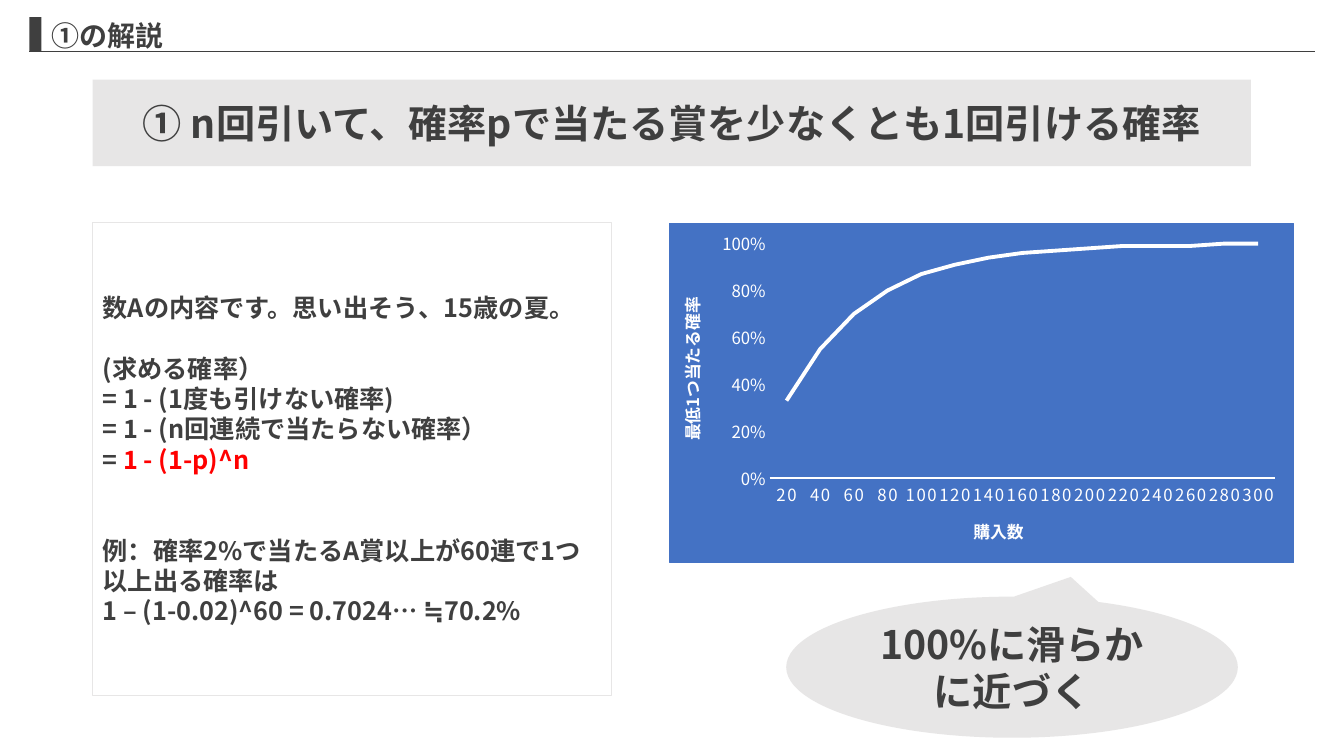
"""Build the slide that explains the chance of drawing a prize at least once."""
from dataclasses import dataclass

from lxml.etree import SubElement
from pptx import Presentation
from pptx.chart.data import CategoryChartData
from pptx.dml.color import RGBColor
from pptx.enum.chart import XL_CHART_TYPE, XL_TICK_MARK
from pptx.enum.shapes import MSO_CONNECTOR, MSO_SHAPE
from pptx.enum.text import MSO_ANCHOR, MSO_AUTO_SIZE, PP_ALIGN
from pptx.oxml import parse_xml
from pptx.oxml.ns import nsdecls, qn
from pptx.util import Pt


@dataclass(frozen=True)
class Theme:
    font: str = "Noto Sans CJK JP"
    ink: RGBColor = RGBColor(0x3F, 0x3F, 0x3F)
    pale: RGBColor = RGBColor(0xE7, 0xE6, 0xE6)
    accent: RGBColor = RGBColor(0xFF, 0x00, 0x00)
    panel: RGBColor = RGBColor(0x44, 0x72, 0xC4)
    white: RGBColor = RGBColor(0xFF, 0xFF, 0xFF)
    title_size: int = 20
    banner_size: int = 28
    body_size: int = 18
    axis_size: int = 12


class SlideBuilder:
    def __init__(self, slide, theme):
        self.slide = slide
        self.theme = theme

    def style_font(self, font, size, color, bold=True):
        font.size, font.bold, font.name = Pt(size), bold, self.theme.font
        font.color.rgb = color
        SubElement(font._element, qn("a:ea"), typeface=self.theme.font)

    def add_run(self, paragraph, text, size, color=None):
        run = paragraph.add_run()
        run.text = text
        self.style_font(run.font, size, color or self.theme.ink)

    def place(self, shape, box):
        shape.left, shape.top, shape.width, shape.height = map(Pt, box)
        frame = shape.text_frame
        frame.word_wrap = True
        frame.auto_size = MSO_AUTO_SIZE.NONE
        frame.vertical_anchor = MSO_ANCHOR.MIDDLE
        return frame

    def title(self, box, text):
        paragraph = self.place(self.slide.shapes.title, box).paragraphs[0]
        paragraph.alignment = PP_ALIGN.LEFT
        self.add_run(paragraph, text, self.theme.title_size)

    def body(self, box, lines):
        shape = self.slide.placeholders[1]
        shape.line.color.rgb = self.theme.pale
        shape.line.width = Pt(1)
        frame = self.place(shape, box)
        for index, (space, runs) in enumerate(lines):
            paragraph = frame.add_paragraph() if index else frame.paragraphs[0]
            paragraph.alignment = PP_ALIGN.LEFT
            paragraph.space_before = Pt(space)
            properties = paragraph._p.get_or_add_pPr()
            properties.set("marL", "0")
            properties.set("indent", "0")
            SubElement(properties, qn("a:buNone"))
            for text, color in runs:
                self.add_run(paragraph, text, self.theme.body_size, color)

    def shape(self, kind, box, fill, text="", adjustments=()):
        shape = self.slide.shapes.add_shape(kind, *map(Pt, box))
        shape.shadow.inherit = False
        shape.fill.solid()
        shape.fill.fore_color.rgb = fill
        shape.line.fill.background()
        for index, value in enumerate(adjustments):
            shape.adjustments[index] = value
        if text:
            paragraph = self.place(shape, box).paragraphs[0]
            paragraph.alignment = PP_ALIGN.CENTER
            self.add_run(paragraph, text, self.theme.banner_size)

    def rule(self, left, right, top):
        line = self.slide.shapes.add_connector(
            MSO_CONNECTOR.STRAIGHT, Pt(left), Pt(top), Pt(right), Pt(top))
        line.line.color.rgb = self.theme.ink
        line.line.width = Pt(0.5)
        SubElement(line._element.spPr, qn("a:effectLst"))

    def style_axis(self, axis, title):
        theme = self.theme
        axis.has_major_gridlines = False
        axis.major_tick_mark = axis.minor_tick_mark = XL_TICK_MARK.NONE
        self.style_font(axis.tick_labels.font, theme.axis_size, theme.white, False)
        paragraph = axis.axis_title.text_frame.paragraphs[0]
        self.add_run(paragraph, title, theme.axis_size, theme.white)

    def line_chart(self, box, categories, values, titles, plot_area):
        theme = self.theme
        data = CategoryChartData()
        data.categories = categories
        data.add_series("当たる確率", values)
        chart = self.slide.shapes.add_chart(
            XL_CHART_TYPE.LINE, *map(Pt, box), data).chart
        chart.has_legend = chart.has_title = False
        self.style_font(chart.font, theme.axis_size, theme.white, False)
        series = chart.plots[0].series[0]
        chart.plots[0].vary_by_categories = series.smooth = False
        series.format.line.color.rgb = theme.white
        series.format.line.width = Pt(2.75)
        category_axis, value_axis = chart.category_axis, chart.value_axis
        self.style_axis(category_axis, titles[0])
        self.style_axis(value_axis, titles[1])
        category_axis.tick_labels.font._element.set("spc", "120")
        category_axis.format.line.color.rgb = theme.white
        category_axis.format.line.width = Pt(1)
        value_axis.format.line.fill.background()
        value_axis.minimum_scale, value_axis.maximum_scale = 0, 1
        value_axis.major_unit = 0.2
        value_axis.tick_labels.number_format = "0%"
        value_axis.tick_labels.number_format_is_linked = False
        self.set_plot_area(chart, plot_area)
        self.fill_chart(chart)

    def set_plot_area(self, chart, plot_area):
        area = chart._chartSpace.chart.plotArea
        for layout in area.findall(qn("c:layout")):
            area.remove(layout)
        layout = SubElement(area, qn("c:layout"))
        area.insert(0, layout)
        manual = SubElement(layout, qn("c:manualLayout"))
        settings = [("layoutTarget", "inner"), ("xMode", "edge"), ("yMode", "edge")]
        for tag, value in settings + list(zip("xywh", plot_area)):
            SubElement(manual, qn(f"c:{tag}"), val=str(value))

    def fill_chart(self, chart):
        color = f'<a:solidFill><a:srgbClr val="{self.theme.panel}"/></a:solidFill>'
        properties = parse_xml(
            f'<c:spPr {nsdecls("c", "a")}>{color}<a:ln w="{Pt(0.75)}">{color}</a:ln></c:spPr>')
        chart._chartSpace.chart.addnext(properties)


def main():
    """Build and save the slide."""
    theme = Theme()
    presentation = Presentation()
    presentation.slide_width, presentation.slide_height = Pt(960), Pt(540)
    slide = presentation.slides.add_slide(presentation.slide_layouts[1])
    builder = SlideBuilder(slide, theme)

    builder.rule(21, 939, 36.7)
    builder.title((29.5, 9.4, 913, 31.7), "①の解説")
    builder.shape(MSO_SHAPE.RECTANGLE, (21, 12.2, 8.6, 24.5), theme.ink)
    builder.shape(MSO_SHAPE.RECTANGLE, (66.2, 56.9, 827.3, 61.9), theme.pale,
                  "① n回引いて、確率pで当たる賞を少なくとも1回引ける確率")

    line_height = 21.7
    builder.body((66.2, 159.1, 370.8, 337.7), [
        (0, [("数Aの内容です。思い出そう、15歳の夏。", theme.ink)]),
        (line_height, [("(求める確率）", theme.ink)]),
        (0, [("= 1 - (1度も引けない確率)", theme.ink)]),
        (0, [("= 1 - (n回連続で当たらない確率）", theme.ink)]),
        (0, [("= ", theme.ink), ("1 - (1-p)^n", theme.accent)]),
        (2 * line_height, [("例：確率2%で当たるA賞以上が60連で1つ以上出る確率は", theme.ink)]),
        (0, [("1 – (1-0.02)^60 = 0.7024… ≒70.2%", theme.ink)]),
    ])

    draws = range(20, 301, 20)
    builder.line_chart((478.1, 159.1, 446.4, 243.4), [str(count) for count in draws],
                       [round(1 - 0.98 ** count, 2) for count in draws],
                       ("購入数", "最低1つ当たる確率"), (0.16, 0.06, 0.81, 0.69))
    builder.shape(MSO_SHAPE.OVAL_CALLOUT, (561.6, 426.2, 322.6, 100.8), theme.pale,
                  "100%に滑らかに近づく", (0.13, -0.64))
    presentation.save("out.pptx")


main()
